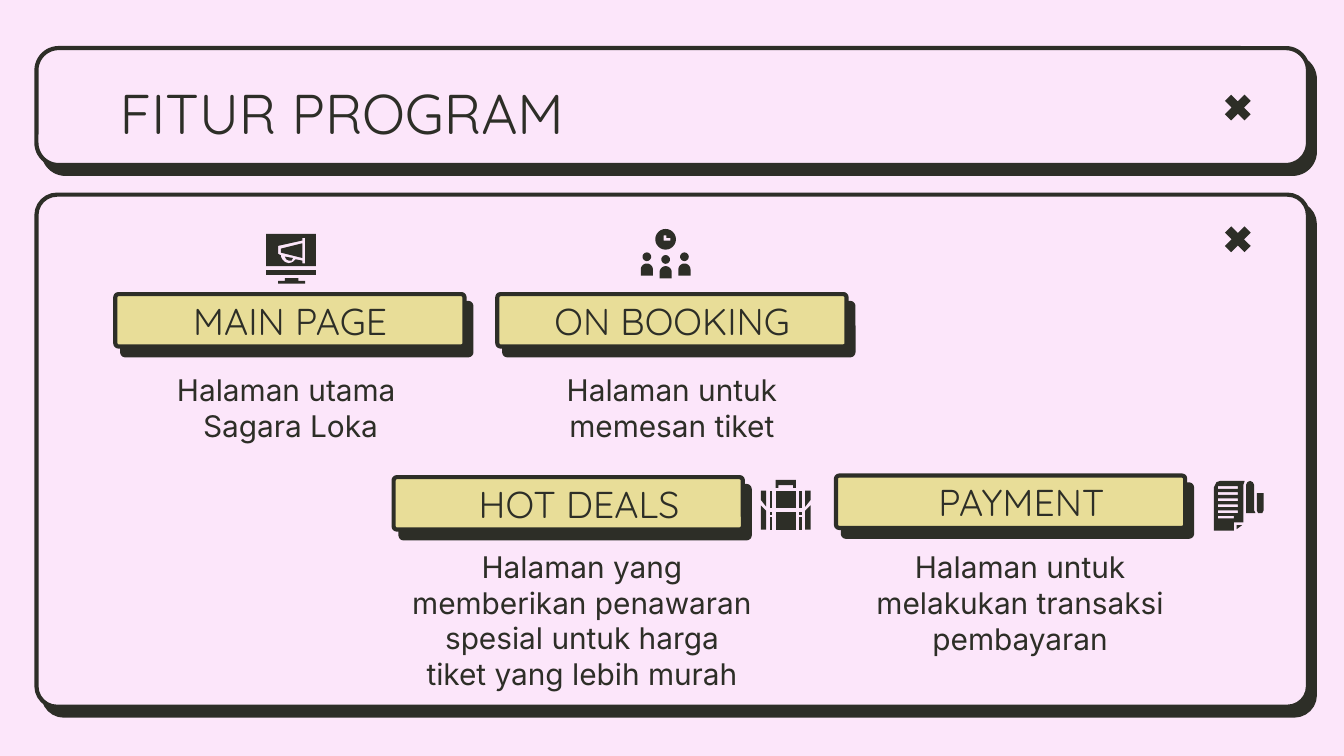
"""Build the "Fitur Program" slide: two window panels with four labelled features."""
import math

from lxml import etree
from pptx import Presentation
from pptx import util as u
from pptx.dml.color import RGBColor
from pptx.enum import shapes, text
from pptx.oxml.ns import qn

COLOURS = {"paper": "FCE6FA", "ink": "2D2E27", "label": "E8DD98"}
TITLE = {"words": "FITUR PROGRAM", "at": (2.01, 1.24, 21.41, 1.6)}
PANELS = [
    {"at": (0.69, 3.68, 24.03, 9.68), "corner": 0.04, "close": (23.04, 4.17)},
    {"at": (0.69, 0.91, 24.03, 2.21), "corner": 0.19, "close": (23.04, 1.68)},
]
FEATURES = [
    {"name": "MAIN PAGE", "about": ["Halaman utama ", "Sagara Loka"], "icon": "screen",
     "label": (2.18, 5.56), "shift": 0.46, "body": (2.01, 6.91), "icon_at": (5.03, 4.42)},
    {"name": "ON BOOKING", "about": ["Halaman untuk memesan tiket"], "icon": "meeting",
     "label": (9.4, 5.56), "shift": 0.46, "body": (9.22, 6.91), "icon_at": (12.11, 4.32)},
    {"name": "HOT DEALS",
     "about": ["Halaman yang memberikan penawaran spesial untuk harga tiket yang lebih murah"],
     "icon": "suitcase",
     "label": (7.44, 9.02), "shift": 0.66, "body": (7.52, 10.92), "icon_at": (14.38, 9.07)},
    {"name": "PAYMENT", "about": ["Halaman untuk melakukan transaksi pembayaran"],
     "icon": "receipt",
     "label": (15.8, 8.99), "shift": 0.66, "body": (15.8, 10.59), "icon_at": (22.94, 9.09)},
]
LABEL_SIZE, HEADING_SIZE, BODY_SIZE = (6.6, 0.99), (5.69, 1.19), (6.96, 1.6)
CLOSE_SIZE = (0.71, 0.71)
ICON_SIZE, GRID, FINE = 0.94, 37, 20
FRAME = {"word_wrap": True, "auto_size": text.MSO_AUTO_SIZE.NONE,
         **{f"margin_{side}": u.Cm(0.25) for side in ("left", "top", "right", "bottom")}}


def rect(left, top, right, bottom):
    """Return the corners of a rectangle."""
    return [(left, top), (left, bottom), (right, bottom), (right, top)]


def arc(x, y, radius, start=0, end=360):
    """Return points along an arc."""
    turns = [math.radians(start + (end - start) * step / 24) for step in range(25)]
    return [(x + radius * math.cos(turn), y + radius * math.sin(turn)) for turn in turns]


def mirror(points):
    """Reflect points across the icon's vertical axis."""
    return [(GRID - x, y) for x, y in points]


def person(x, y):
    """Return a head and a round-shouldered body."""
    body = arc(x, y + 9.5, 4.5, 180, 360) + [(x + 4.5, y + 14), (x - 4.5, y + 14)]
    return [[arc(x, y, 3.2)], [body]]


SIDES = [[(0, 8), (0, 15), (4, 20), (4, 8)], [(0, 19), (0, 37), (4, 37), (4, 23)],
         *[rect(6.5, top, 8.5, bottom) for top, bottom in ((8, 21), (24, 26), (28, 37))]]
ICONS = {
    "screen": [
        [rect(0, 0, 37, 24),
         [(29, 3), (29, 22), (27, 22), (27, 20), (22, 19), (20, 21), (17, 22), (14, 21),
          (12, 19), (11, 17), (11, 16), (9, 15), (9, 9), (27, 5), (27, 3)]],
        [[(27, 7), (11, 11), (11, 14), (27, 18)]],
        [[(14, 17), (15, 19), (17, 20), (19, 20), (20, 18)]],
        [rect(0, 27, 37, 31)],
        [[(14, 33), (14, 35), (9, 35), (9, 37), (29, 37), (29, 35), (24, 35), (24, 33)]],
    ],
    "meeting": [
        [arc(18.5, 8, 7.7), [(19, 5), (19, 7), (22, 7), (22, 9), (17, 9), (17, 5)]],
        *person(4.5, 21), *person(18.5, 23), *person(32.5, 21),
    ],
    "suitcase": [
        *[[side] for side in SIDES], *[[mirror(side)] for side in SIDES],
        [rect(11, 8, 26, 21)], [rect(11, 24, 26, 37)],
        [[(11, 0), (11, 6), (13, 6), (13, 4), (24, 4), (24, 6), (26, 6), (26, 0)]],
    ],
    "receipt": [
        [[(5, 0), (2, 1), (0, 5), (0, 37), (15, 37), (15, 31), (22, 31), (22, 3), (23, 0)],
         *[rect(3, top, 18, top + 2) for top in (4, 8.5, 13, 17.5, 22)], rect(3, 26, 15, 28)],
        [[(17, 33), (17, 36), (21, 33)]],
        [[(32, 9), (32, 22), (33, 24), (36, 24), (37, 22), (37, 9)]],
        [[(27, 0), (25, 1), (24, 3), (24, 24), (31, 24), (30, 22), (30, 3), (29, 1)]],
    ],
}


def colour(name):
    """Look up a colour by name."""
    return RGBColor.from_string(COLOURS[name])


def assign(target, values):
    """Set attributes from a dict."""
    for key, value in values.items():
        setattr(target, key, value)


def paint(shape, fill):
    """Fill a shape flatly, without outline or shadow."""
    shape.shadow.inherit = False
    shape.fill.solid()
    shape.fill.fore_color.rgb = colour(fill)
    shape.line.fill.background()


def add_preset(page, kind, at, fill, corner):
    """Add a flat preset shape."""
    shape = page.shapes.add_shape(kind, *map(u.Cm, at))
    shape.adjustments[0] = corner
    paint(shape, fill)
    return shape


def add_card(page, at, fill, corner):
    """Add an outlined rounded box with a hard offset shadow."""
    card = add_preset(page, shapes.MSO_SHAPE.ROUNDED_RECTANGLE, at, fill, corner)
    card.line.color.rgb = colour("ink")
    card.line.width = u.Pt(2.25)
    effects = card._element.spPr.find(qn("a:effectLst"))
    shadow = etree.SubElement(effects, qn("a:outerShdw"), dist=str(u.Pt(6)),
                              dir=str(52 * 60000), algn="bl", rotWithShape="0")
    etree.SubElement(shadow, qn("a:srgbClr"), val=COLOURS["ink"])


def add_icon(page, pieces, at):
    """Draw an icon as a group of outlines on a square grid."""
    group = page.shapes.add_group_shape()
    scale = u.Cm(ICON_SIZE) / (GRID * FINE)
    for contours in pieces:
        builder = None
        for contour in contours:
            first, *rest = [(x * FINE, y * FINE) for x, y in contour]
            if builder is None:
                builder = group.shapes.build_freeform(*first, scale=scale)
            else:
                builder.move_to(*first)
            builder.add_line_segments(rest, close=True)
        paint(builder.convert_to_shape(*map(u.Cm, at)), "ink")


def write(box, at, lines, font, size, align=text.PP_ALIGN.CENTER,
          anchor=text.MSO_ANCHOR.MIDDLE):
    """Place a text holder and fill it with formatted paragraphs."""
    assign(box, dict(zip(("left", "top", "width", "height"), map(u.Cm, at))))
    frame = box.text_frame
    assign(frame, {**FRAME, "vertical_anchor": anchor})
    frame.text = "\n".join(lines)
    for para in frame.paragraphs:
        assign(para, {"alignment": align, "space_before": u.Pt(0), "line_spacing": 1.0})
        props = para._p.get_or_add_pPr()
        props.set("marL", "0")
        props.set("indent", "0")
        etree.SubElement(props, qn("a:buNone"))
        for span in para.runs:
            assign(span.font, {"name": font, "size": u.Pt(size), "bold": False})
            span.font.color.rgb = colour("ink")


def main():
    """Assemble and save the deck."""
    deck = Presentation()
    assign(deck, {"slide_width": u.Cm(25.4), "slide_height": u.Cm(14.29)})
    page = deck.slides.add_slide(deck.slide_layouts.get_by_name("Comparison"))
    page.background.fill.solid()
    page.background.fill.fore_color.rgb = colour("paper")
    title, *bodies = list(page.placeholders)

    for panel in PANELS:
        add_card(page, panel["at"], "paper", panel["corner"])
        add_preset(page, shapes.MSO_SHAPE.MATH_MULTIPLY, panel["close"] + CLOSE_SIZE,
                   "ink", 0.235)
    for feature in FEATURES:
        add_card(page, feature["label"] + LABEL_SIZE, "label", 0.06)
    for box in (title, *bodies):
        page.shapes.element.append(box.element)

    write(title, TITLE["at"], [TITLE["words"]], "Quicksand", 30,
          text.PP_ALIGN.LEFT, text.MSO_ANCHOR.TOP)
    for feature, body in zip(FEATURES, bodies):
        write(body, feature["body"] + BODY_SIZE, feature["about"], "Inter", 16)
        left, top = feature["label"]
        heading = page.shapes.add_textbox(0, 0, 0, 0)
        write(heading, (left + feature["shift"], top - 0.1) + HEADING_SIZE,
              [feature["name"]], "Quicksand", 20)
        add_icon(page, ICONS[feature["icon"]], feature["icon_at"])
    deck.save("out.pptx")


if __name__ == "__main__":
    main()
